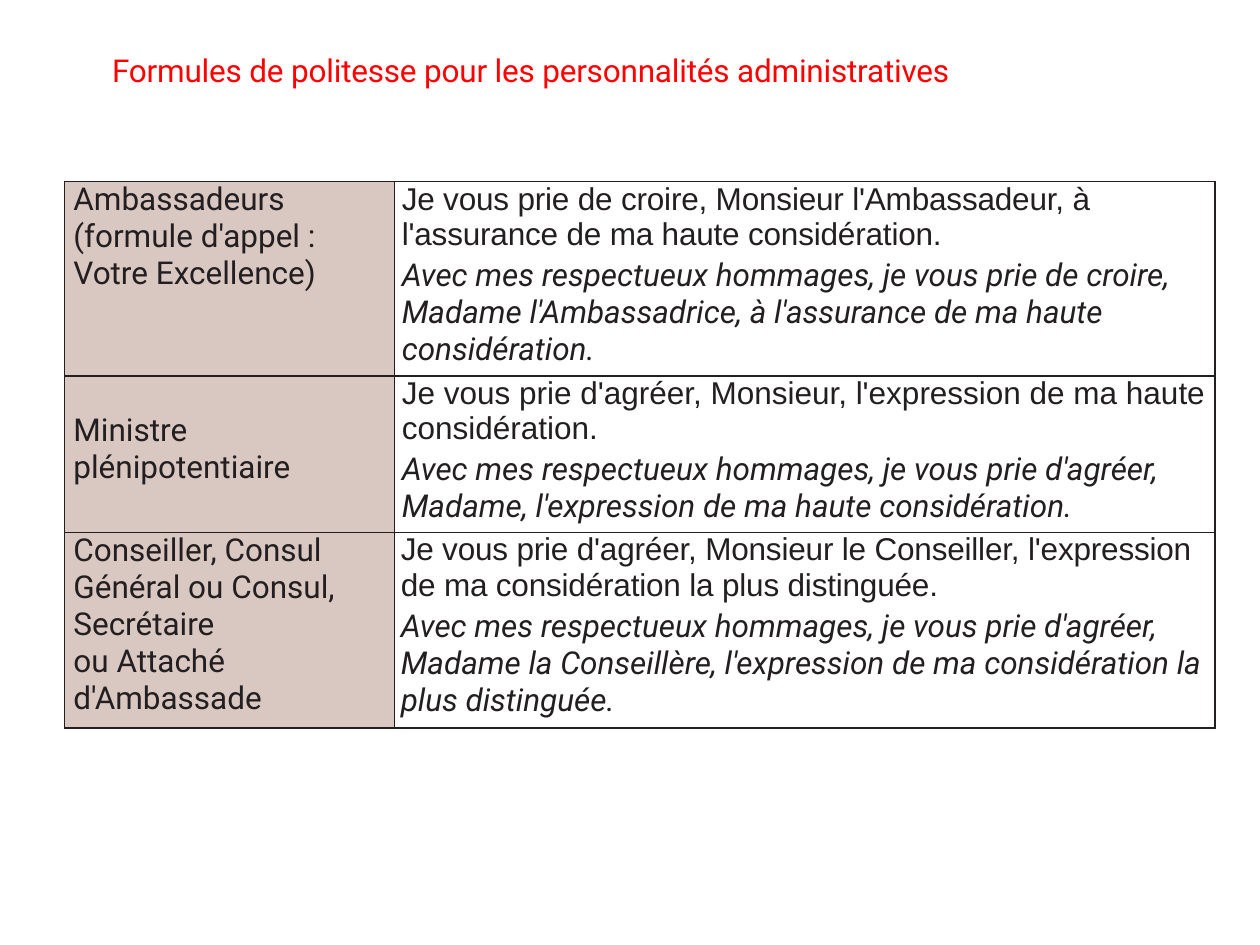
from typing import NamedTuple

from lxml import etree
from pptx import Presentation
from pptx import util as u
from pptx.dml import color
from pptx.oxml import ns

INK, RED, ROSE = "231F20", "FF0000", "D9C7C1"
TITLE = "Formules de politesse pour les personnalités administratives"


class Rank(NamedTuple):
    high: float
    names: list[str]
    sir: str
    madam: str
    top: float = 0
    left: float = 0.15
    track: int = 0


RANKS = [
    Rank(3.91, ["Ambassadeurs (formule d'appel : Votre Excellence)"],
         "Je vous prie de croire, Monsieur l'Ambassadeur, à l'assurance de ma haute considération.",
         "Avec mes respectueux hommages, je vous prie de croire, Madame l'Ambassadrice, "
         "à l'assurance de ma haute considération.", track=-10),
    Rank(3.15, ["Ministre plénipotentiaire"],
         "Je vous prie d'agréer, Monsieur, l'expression de ma haute considération.",
         "Avec mes respectueux hommages, je vous prie d'agréer, Madame, "
         "l'expression de ma haute considération.", top=0.74),
    Rank(3.94, ["Conseiller, Consul Général ou Consul, Secrétaire", "ou Attaché d'Ambassade"],
         "Je vous prie d'agréer, Monsieur le Conseiller, l'expression de ma considération "
         "la plus distinguée.",
         "Avec mes respectueux hommages, je vous prie d'agréer, Madame la Conseillère, "
         "l'expression de ma considération la plus distinguée.", left=0.13, track=-10),
]


def tint(code: str) -> color.RGBColor:
    """Turn a hex string into a colour."""
    return color.RGBColor.from_string(code)


def write(para, words: str, face: str = "Roboto", hue: str = INK,
          slant: bool = False, gap: float = 0, track: int = 0) -> None:
    """Fill a paragraph with one styled run."""
    run = para.add_run()
    run.text = words
    font = para.font
    font.name, font.size, font.italic = face, u.Pt(18), slant
    font.color.rgb = tint(hue)
    para.space_before = u.Pt(gap)
    if track:
        run.font._element.set("spc", str(track))


def frame(cell, left: float, top: float = 0) -> None:
    """Give a cell its margins and four thin borders."""
    cell.margin_left, cell.margin_top = u.Cm(left), u.Cm(top)
    cell.margin_right = cell.margin_bottom = 0
    props = cell._tc.get_or_add_tcPr()
    for spot, side in enumerate(("lnL", "lnR", "lnT", "lnB")):
        line = etree.Element(ns.qn(f"a:{side}"), w=str(u.Pt(1)))
        fill = etree.SubElement(line, ns.qn("a:solidFill"))
        etree.SubElement(fill, ns.qn("a:srgbClr"), val=INK)
        props.insert(spot, line)


def fill_row(grid, row: int, rank: Rank) -> None:
    """Write the names and both formulas of one rank."""
    grid.rows[row].height = u.Cm(rank.high)
    name, form = grid.cell(row, 0), grid.cell(row, 1)
    name.fill.solid()
    name.fill.fore_color.rgb = tint(ROSE)
    form.fill.background()
    frame(name, 0.18, rank.top)
    frame(form, rank.left)
    body = name.text_frame
    for spot, words in enumerate(rank.names):
        write(body.add_paragraph() if spot else body.paragraphs[0], words)
    body = form.text_frame
    write(body.paragraphs[0], rank.sir, "Arial", track=rank.track)
    write(body.add_paragraph(), rank.madam, slant=True, gap=3)


def main() -> None:
    """Build the slide and save it."""
    deck = Presentation()
    deck.slide_width, deck.slide_height = u.Cm(25.4), u.Cm(19.05)
    slide = deck.slides.add_slide(deck.slide_layouts[6])
    box = slide.shapes.add_textbox(u.Cm(2.01), u.Cm(0.91), u.Cm(19.71), u.Cm(1.8))
    box.text_frame.word_wrap = True
    write(box.text_frame.paragraphs[0], TITLE, hue=RED, track=-10)
    high = sum(rank.high for rank in RANKS)
    grid = slide.shapes.add_table(len(RANKS), 2, u.Cm(1.3), u.Cm(3.66),
                                  u.Cm(23.19), u.Cm(high)).table
    grid.first_row = grid.horz_banding = False
    for col, wide in zip(grid.columns, (6.65, 16.54)):
        col.width = u.Cm(wide)
    for row, rank in enumerate(RANKS):
        fill_row(grid, row, rank)
    deck.save("out.pptx")


if __name__ == "__main__":
    main()
